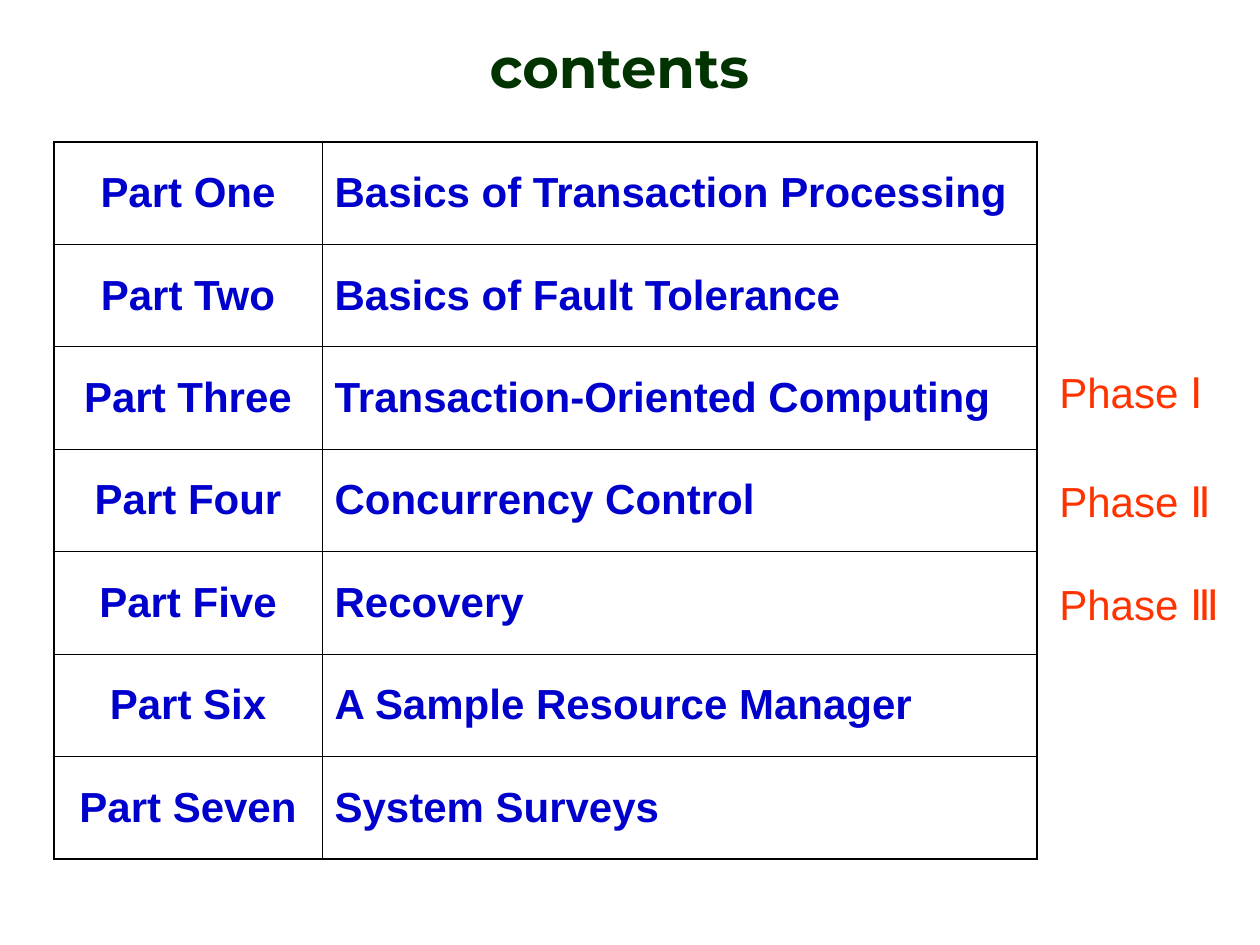
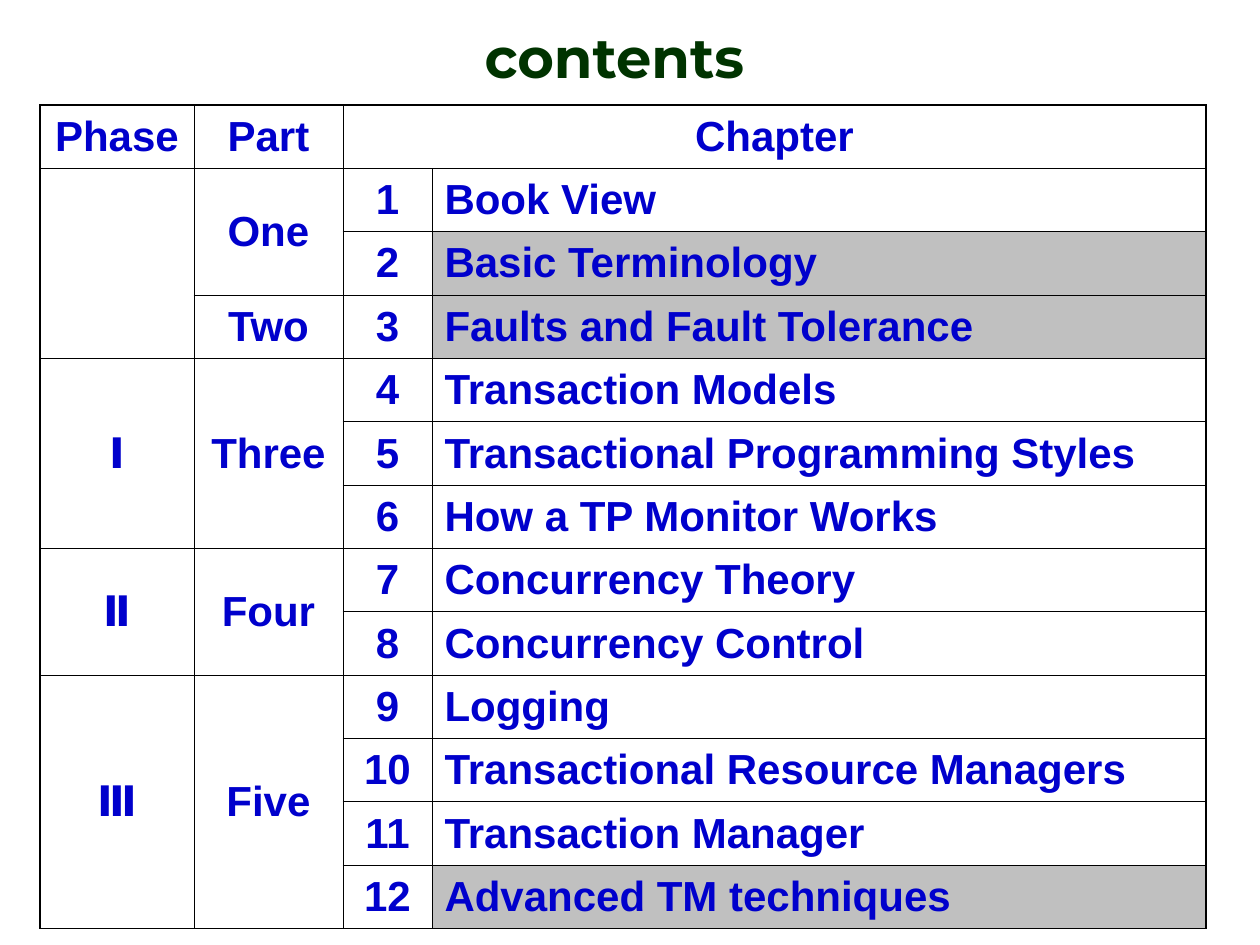
"""Build two contents slides: the parts with their phases, and the chapters of each part."""
from dataclasses import dataclass
from lxml.etree import SubElement
from pptx import Presentation
from pptx.dml.color import RGBColor
from pptx.enum.text import MSO_ANCHOR, MSO_AUTO_SIZE, PP_ALIGN
from pptx.oxml.ns import qn
from pptx.util import Emu, Pt


@dataclass(frozen=True)
class Theme:
    title_font: str = "Montserrat"
    body_font: str = "Arial"
    title_color: str = "003300"
    table_color: str = "0000CC"
    phase_color: str = "FF3300"
    highlight: str = "C0C0C0"
    border: str = "000000"
    title_size: int = 32
    body_size: int = 24
    outer_line: float = 1.08
    inner_line: float = 0.45


theme = Theme()
EMU_PER_PX = 914400 / 126
TITLE_FORMAT = {"name": theme.title_font, "size": Pt(theme.title_size), "bold": True}
TABLE_FORMAT = {"name": theme.body_font, "size": Pt(theme.body_size), "bold": True}
PHASE_FORMAT = {"name": theme.body_font, "size": Pt(theme.body_size), "bold": False}


def px(*lengths):
    return [Emu(round(length * EMU_PER_PX)) for length in lengths]


def write_text(frame, text, font_format, color, alignment):
    paragraph = frame.paragraphs[0]
    paragraph.alignment = alignment
    run = paragraph.add_run()
    run.text = text
    for name, value in font_format.items():
        setattr(run.font, name, value)
    run.font.color.rgb = RGBColor.from_string(color)


parts = [
    ("Part One", "Basics of Transaction Processing"),
    ("Part Two", "Basics of Fault Tolerance"),
    ("Part Three", "Transaction-Oriented Computing"),
    ("Part Four", "Concurrency Control"),
    ("Part Five", "Recovery"),
    ("Part Six", "A Sample Resource Manager"),
    ("Part Seven", "System Surveys"),
]
chapters = [
    ("", "One", "Book View"),
    ("", "", "Basic Terminology"),
    ("", "Two", "Faults and Fault Tolerance"),
    ("Ⅰ", "Three", "Transaction Models"),
    ("", "", "Transactional Programming Styles"),
    ("", "", "How a TP Monitor Works"),
    ("Ⅱ", "Four", "Concurrency Theory"),
    ("", "", "Concurrency Control"),
    ("Ⅲ", "Five", "Logging"),
    ("", "", "Transactional Resource Managers"),
    ("", "", "Transaction Manager"),
    ("", "", "Advanced TM techniques"),
]
chapter_rows = [("Phase", "Part", "Chapter", "")] + [
    (phase, part, str(number), chapter)
    for number, (phase, part, chapter) in enumerate(chapters, start=1)
]
phase_labels = [("Phase Ⅰ", 360), ("Phase Ⅱ", 469), ("Phase Ⅲ", 572)]

contents_slides = [
    {
        "title_at": (105, 25), "table_at": (54, 142), "height": 717,
        "columns": (268, 715), "rows": parts, "merges": [],
        "highlights": [], "labels": phase_labels,
    },
    {
        "title_at": (100, 15), "table_at": (40, 105), "height": 824,
        "columns": (154, 149, 89, 774), "rows": chapter_rows,
        "merges": [(0, 2, 0, 3), (1, 0, 3, 0), (4, 0, 6, 0), (7, 0, 8, 0), (9, 0, 12, 0),
                   (1, 1, 2, 1), (4, 1, 6, 1), (7, 1, 8, 1), (9, 1, 12, 1)],
        "highlights": ["Basic Terminology", "Faults and Fault Tolerance",
                       "Advanced TM techniques"],
        "labels": [],
    },
]

presentation = Presentation()
presentation.slide_width, presentation.slide_height = px(1260, 945)

for content in contents_slides:
    slide = presentation.slides.add_slide(presentation.slide_layouts[5])
    title = slide.shapes.title
    title.left, title.top, title.width, title.height = px(*content["title_at"], 1029, 81)
    title.text_frame.vertical_anchor = MSO_ANCHOR.BOTTOM
    title.text_frame.auto_size = MSO_AUTO_SIZE.SHAPE_TO_FIT_TEXT
    write_text(title.text_frame, "contents", TITLE_FORMAT, theme.title_color, PP_ALIGN.CENTER)

    rows, columns = content["rows"], content["columns"]
    last_row, last_column = len(rows) - 1, len(columns) - 1
    table = slide.shapes.add_table(
        len(rows), len(columns), *px(*content["table_at"], sum(columns), content["height"])
    ).table
    table.first_row = table.horz_banding = False
    for column, width in zip(table.columns, px(*columns)):
        column.width = width
    for top, left, bottom, right in content["merges"]:
        table.cell(top, left).merge(table.cell(bottom, right))

    for row_index, row in enumerate(rows):
        for column_index, text in enumerate(row):
            cell = table.cell(row_index, column_index)
            if cell.is_spanned:
                cell.fill.background()
                continue
            outer_edges = {
                "a:lnL": column_index == 0,
                "a:lnR": column_index + cell.span_width > last_column,
                "a:lnT": row_index == 0,
                "a:lnB": row_index + cell.span_height > last_row,
            }
            properties = cell._tc.get_or_add_tcPr()
            for edge, is_outer in outer_edges.items():
                width = theme.outer_line if is_outer else theme.inner_line
                line = SubElement(properties, qn(edge), w=str(Pt(width)))
                fill = SubElement(line, qn("a:solidFill"))
                SubElement(fill, qn("a:srgbClr"), val=theme.border)
            if text in content["highlights"]:
                cell.fill.solid()
                cell.fill.fore_color.rgb = RGBColor.from_string(theme.highlight)
            else:
                cell.fill.background()
            cell.vertical_anchor = MSO_ANCHOR.MIDDLE
            is_name = column_index == last_column
            alignment = PP_ALIGN.LEFT if is_name else PP_ALIGN.CENTER
            if text:
                write_text(cell.text_frame, text, TABLE_FORMAT, theme.table_color, alignment)

    for label, top in content["labels"]:
        label_box = slide.shapes.add_textbox(*px(1047, top, 213, 63))
        label_box.text_frame.word_wrap = True
        write_text(label_box.text_frame, label, PHASE_FORMAT, theme.phase_color, PP_ALIGN.LEFT)

presentation.save("out.pptx")
